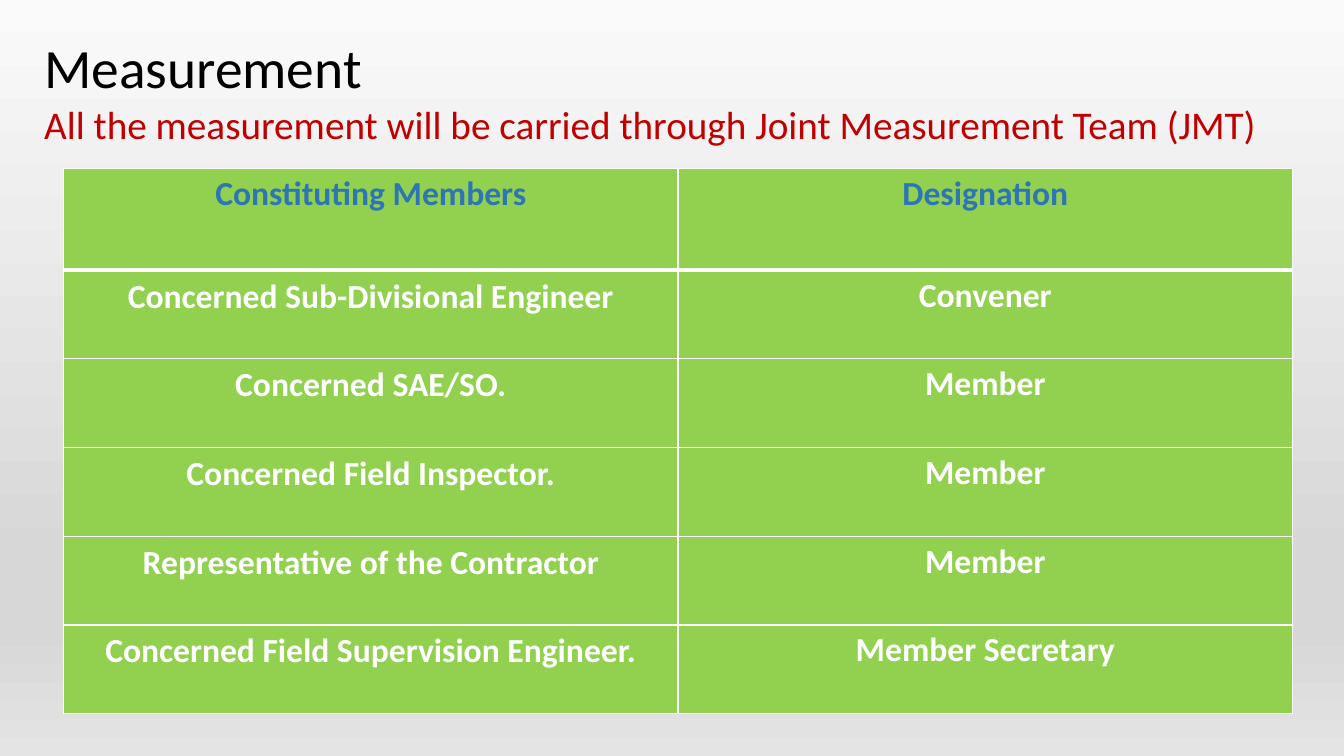
from lxml import etree
from pptx import Presentation
from pptx.dml.color import RGBColor
from pptx.enum.text import MSO_ANCHOR, PP_ALIGN
from pptx.oxml.ns import qn
from pptx.util import Inches, Pt

CENTER, LEFT = PP_ALIGN.CENTER, PP_ALIGN.LEFT
MIDDLE, TOP = MSO_ANCHOR.MIDDLE, MSO_ANCHOR.TOP
FONT = "Calibri"
COLORS = {
    "title": "000000",
    "subtitle": "C00000",
    "header": "2E75B6",
    "white": "FFFFFF",
    "cell": "92D050",
}
BACKGROUND_STOPS = [(0, "FAFAFA"), (74, "D7D7D7"), (83, "D7D7D7"), (100, "E4E4E4")]
HEADERS = ("Constituting Members", "Designation")
MEMBERS = [
    ("Concerned Sub-Divisional Engineer", "Convener"),
    ("Concerned SAE/SO.", "Member"),
    ("Concerned Field Inspector.", "Member"),
    ("Representative of the Contractor", "Member"),
    ("Concerned Field Supervision Engineer.", "Member Secretary"),
]
TABLE_WIDTH = 12.19
HEADER_HEIGHT, ROW_HEIGHT = 1.01, 0.88


def write_text(frame, text, size, color, bold=False, align=LEFT, spacing=1.0, before=0):
    para = frame.paragraphs[0]
    para.alignment = align
    para.line_spacing = spacing
    para.space_before = Pt(before)
    span = para.add_run()
    span.text = text
    span.font.name = FONT
    span.font.size = Pt(size)
    span.font.bold = bold
    span.font.color.rgb = RGBColor.from_string(COLORS[color])


def paint_background(page):
    fill = page.background.fill
    fill.gradient()
    fill.gradient_angle = 270
    stops = next(page.element.iter(qn("a:gsLst")))
    for stop in list(stops):
        stops.remove(stop)
    for percent, color in BACKGROUND_STOPS:
        stop = etree.SubElement(stops, qn("a:gs"), pos=str(percent * 1000))
        etree.SubElement(stop, qn("a:srgbClr"), val=color)


def add_text(page, text, top, height, anchor=TOP, **text_format):
    box = page.shapes.add_textbox(Inches(0.34), Inches(top), Inches(12.85), Inches(height))
    box.text_frame.word_wrap = True
    box.text_frame.vertical_anchor = anchor
    write_text(box.text_frame, text, **text_format)


def add_borders(cell, top=1, bottom=1):
    """Draw white borders; call before filling, as the schema puts lines first."""
    properties = cell._tc.get_or_add_tcPr()
    for side, width in (("L", 1), ("R", 1), ("T", top), ("B", bottom)):
        line = etree.SubElement(properties, qn(f"a:ln{side}"), w=str(Pt(width)))
        fill = etree.SubElement(line, qn("a:solidFill"))
        etree.SubElement(fill, qn("a:srgbClr"), val=COLORS["white"])


def add_member_table(page):
    rows = [HEADERS, *MEMBERS]
    height = HEADER_HEIGHT + ROW_HEIGHT * len(MEMBERS)
    table = page.shapes.add_table(
        len(rows), len(HEADERS),
        Inches(0.63), Inches(1.67), Inches(TABLE_WIDTH), Inches(height),
    ).table
    for column in table.columns:
        column.width = Inches(TABLE_WIDTH / len(HEADERS))
    for row_index, texts in enumerate(rows):
        is_header = row_index == 0
        table.rows[row_index].height = Inches(HEADER_HEIGHT if is_header else ROW_HEIGHT)
        for column_index, text in enumerate(texts):
            cell = table.cell(row_index, column_index)
            is_member = column_index == 0 and not is_header
            if is_member:
                cell.margin_left = cell.margin_right = Inches(0.07)
                cell.margin_top = cell.margin_bottom = 0
            add_borders(cell, top=3 if row_index == 1 else 1, bottom=3 if is_header else 1)
            cell.fill.solid()
            cell.fill.fore_color.rgb = RGBColor.from_string(COLORS["cell"])
            write_text(
                cell.text_frame, text, size=24, bold=True, align=CENTER,
                color="header" if is_header else "white",
                spacing=1.15 if is_member else 1.0,
            )


def main():
    deck = Presentation()
    deck.slide_width, deck.slide_height = Inches(13.33), Inches(7.5)
    page = deck.slides.add_slide(deck.slide_layouts[6])
    paint_background(page)
    add_text(page, "Measurement", 0.4, 0.6, anchor=MIDDLE,
             size=39.6, color="title", spacing=0.9)
    add_text(page, "All the measurement will be carried through Joint Measurement Team (JMT)",
             1, 0.6, size=28, color="subtitle", spacing=0.9, before=10)
    add_member_table(page)
    deck.save("out.pptx")


if __name__ == "__main__":
    main()
